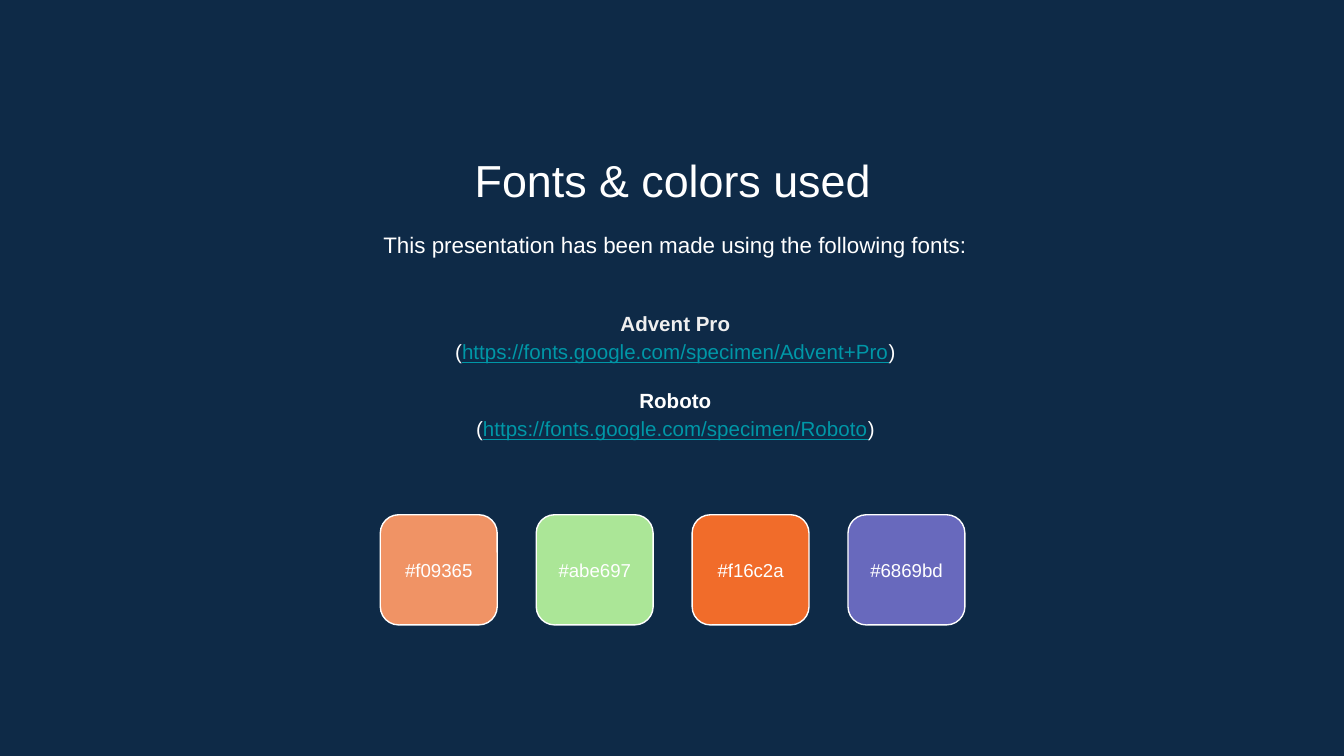
from pptx import Presentation
from pptx.dml.color import RGBColor
from pptx.enum.shapes import MSO_SHAPE
from pptx.enum.text import MSO_ANCHOR, PP_ALIGN
from pptx.util import Pt

FONT = "Arial"
INSET = Pt(7.2)
COLORS = {
    "background": "0E2A47",
    "text": "FFFFFF",
    "font name": "EFEFEF",
    "link": "0097A7",
}
PALETTE = ["f09365", "abe697", "f16c2a", "6869bd"]
TYPEFACES = [
    ("Advent Pro", "https://fonts.google.com/specimen/Advent+Pro", "font name"),
    ("Roboto", "https://fonts.google.com/specimen/Roboto", "text"),
]


def rgb(hex_code):
    return RGBColor.from_string(hex_code.upper())


def add_text_frame(slide, left, top, width, height, anchor=MSO_ANCHOR.TOP):
    frame = slide.shapes.add_textbox(Pt(left), Pt(top), Pt(width), Pt(height)).text_frame
    frame.word_wrap = True
    frame.vertical_anchor = anchor
    frame.margin_left = frame.margin_right = INSET
    frame.margin_top = frame.margin_bottom = INSET
    return frame


def format_paragraph(paragraph, line_spacing=1.0):
    paragraph.alignment = PP_ALIGN.CENTER
    paragraph.line_spacing = line_spacing
    return paragraph


def add_run(paragraph, text, size, color="text", bold=False, underline=False):
    run = paragraph.add_run()
    run.text = text
    run.font.name = FONT
    run.font.size = Pt(size)
    run.font.bold = bold
    run.font.underline = underline
    run.font.color.rgb = rgb(COLORS[color])


def add_typefaces(slide):
    frame = add_text_frame(slide, 84.24, 151.2, 555.12, 98.64, MSO_ANCHOR.MIDDLE)
    for index, (name, address, name_color) in enumerate(TYPEFACES):
        heading = frame.add_paragraph() if index else frame.paragraphs[0]
        format_paragraph(heading, 1.15)
        if index:
            heading.space_before = Pt(11)
        add_run(heading, name, 11, name_color, bold=True)

        source = format_paragraph(frame.add_paragraph(), 1.15)
        add_run(source, "(", 11)
        add_run(source, address, 11, "link", underline=True)
        add_run(source, ")", 11)


def add_swatch(slide, left, hex_code):
    width = 62.64
    tile = slide.shapes.add_shape(
        MSO_SHAPE.ROUNDED_RECTANGLE, Pt(left), Pt(275.76), Pt(width), Pt(59.04))
    tile.shadow.inherit = False
    tile.fill.solid()
    tile.fill.fore_color.rgb = rgb(hex_code)
    tile.line.color.rgb = rgb(COLORS["text"])
    tile.line.width = Pt(0.75)

    label = add_text_frame(slide, left, 288, width, 34.56, MSO_ANCHOR.MIDDLE)
    add_run(format_paragraph(label.paragraphs[0]), f"#{hex_code}", 10)


def main():
    deck = Presentation()
    deck.slide_width, deck.slide_height = Pt(720), Pt(405)
    slide = deck.slides.add_slide(deck.slide_layouts[6])
    slide.background.fill.solid()
    slide.background.fill.fore_color.rgb = rgb(COLORS["background"])

    # Title and introduction
    title = add_text_frame(slide, 82.8, 74.88, 555.12, 38.16)
    add_run(format_paragraph(title.paragraphs[0]), "Fonts & colors used", 24)
    intro = add_text_frame(slide, 84.24, 114.48, 555.12, 34.56)
    add_run(format_paragraph(intro.paragraphs[0], 1.15),
            "This presentation has been made using the following fonts:", 12)

    # Fonts with their sources
    add_typefaces(slide)

    # Row of color swatches
    for column, hex_code in enumerate(PALETTE):
        add_swatch(slide, 203.76 + column * 83.52, hex_code)

    deck.save("out.pptx")


if __name__ == "__main__":
    main()
